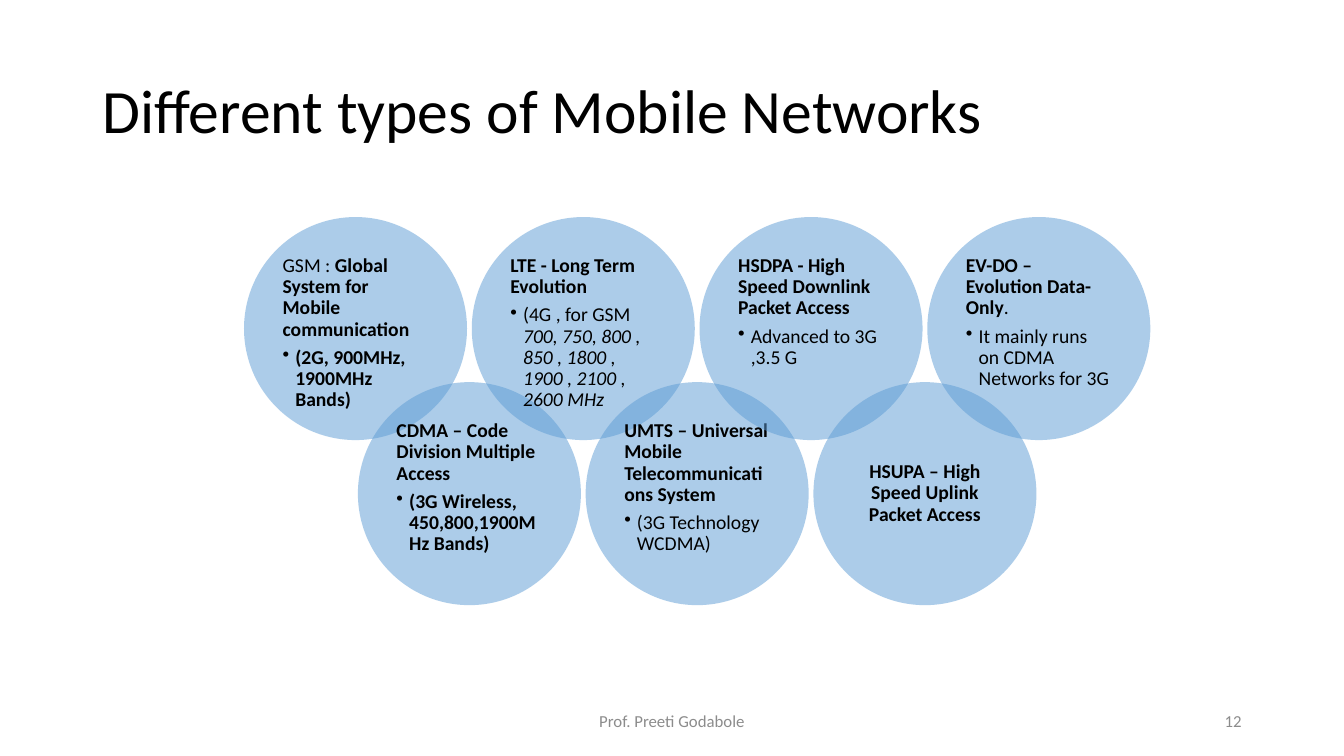
from lxml import etree
from pptx import Presentation
from pptx import util as u
from pptx.dml.color import RGBColor
from pptx.enum import shapes, text
from pptx.oxml.ns import qn

FONT = "Calibri"
COLORS = {"text": "000000", "footer": "8C8C8C", "circle": "5B9BD5"}

CIRCLE_SIZE = 5.62
FIRST_LEFT = 6.15
COLUMN_STEP = 2.87
ROW_TOPS = (5.47, 9.63)

PLAIN, BOLD, ITALIC = "plain", "bold", "italic"
NETWORKS = [
    ([("GSM : ", PLAIN), ("Global System for Mobile communication", BOLD)],
     [("(2G, 900MHz, 1900MHz Bands)", BOLD)]),
    ([("CDMA – Code Division Multiple Access", BOLD)],
     [("(3G Wireless, 450,800,1900MHz Bands)", BOLD)]),
    ([("LTE - Long Term Evolution", BOLD)],
     [("(4G , for GSM ", PLAIN),
      ("700, 750, 800 , 850 , 1800 , 1900 , 2100 , 2600 MHz", ITALIC)]),
    ([("UMTS – Universal Mobile Telecommunications System", BOLD)],
     [("(3G Technology WCDMA)", PLAIN)]),
    ([("HSDPA - High Speed Downlink Packet Access", BOLD)],
     [("Advanced to 3G ,3.5 G", PLAIN)]),
    ([("HSUPA – High Speed Uplink Packet Access", BOLD)], []),
    ([("EV-DO – Evolution Data-Only", BOLD), (".", PLAIN)],
     [("It mainly runs on CDMA Networks for 3G", PLAIN)]),
]


def color(name):
    return RGBColor.from_string(COLORS[name])


def add_span(para, words, size, color_name="text", style=PLAIN):
    span = para.add_run()
    span.text = words
    span.font.name = FONT
    span.font.size = u.Pt(size)
    span.font.bold = style == BOLD
    span.font.italic = style == ITALIC
    span.font.color.rgb = color(color_name)


def write_para(para, spans, align, space_after):
    para.alignment = align
    para.line_spacing = 0.9
    para.space_after = u.Pt(space_after)
    for words, style in spans:
        add_span(para, words, 14, style=style)


def add_bullet(para):
    props = para._p.get_or_add_pPr()
    props.set("marL", str(u.Cm(0.32)))
    props.set("indent", str(u.Cm(-0.32)))
    etree.SubElement(props, qn("a:buChar")).set("char", "•")


def set_title(page, words):
    title = page.shapes.title
    title.left, title.top = u.Cm(2.33), u.Cm(1.01)
    title.width, title.height = u.Cm(29.21), u.Cm(3.68)
    frame = title.text_frame
    frame.auto_size = text.MSO_AUTO_SIZE.NONE
    frame.vertical_anchor = text.MSO_ANCHOR.MIDDLE
    para = frame.paragraphs[0]
    para.alignment = text.PP_ALIGN.LEFT
    para.line_spacing = 0.9
    add_span(para, words, 44)


def add_circle(page, left, top, heading, detail):
    circle = page.shapes.add_shape(
        shapes.MSO_SHAPE.OVAL, u.Cm(left), u.Cm(top),
        u.Cm(CIRCLE_SIZE), u.Cm(CIRCLE_SIZE))
    circle.shadow.inherit = False
    circle.line.fill.background()
    circle.fill.solid()
    circle.fill.fore_color.rgb = color("circle")
    shade = circle.fill._xPr.find(qn("a:solidFill"))[0]
    etree.SubElement(shade, qn("a:alpha")).set("val", "50000")

    frame = circle.text_frame
    frame.word_wrap = True
    frame.margin_left = frame.margin_right = u.Cm(0.15)
    frame.margin_top = frame.margin_bottom = u.Cm(0.15)
    anchor, align = text.MSO_ANCHOR.MIDDLE, text.PP_ALIGN.CENTER
    if detail:
        anchor, align = text.MSO_ANCHOR.TOP, text.PP_ALIGN.LEFT
    frame.vertical_anchor = anchor
    write_para(frame.paragraphs[0], heading, align, 5)
    if detail:
        para = frame.add_paragraph()
        para.level = 1
        write_para(para, detail, align, 2)
        add_bullet(para)


def add_footer(page, words, left, width, align):
    box = page.shapes.add_textbox(
        u.Cm(left), u.Cm(17.65), u.Cm(width), u.Cm(1.01))
    frame = box.text_frame
    frame.word_wrap = True
    frame.vertical_anchor = text.MSO_ANCHOR.MIDDLE
    para = frame.paragraphs[0]
    para.alignment = align
    add_span(para, words, 12, "footer")


def main():
    deck = Presentation()
    deck.slide_width, deck.slide_height = u.Cm(33.87), u.Cm(19.05)
    page = deck.slides.add_slide(deck.slide_layouts.get_by_name("Title Only"))
    set_title(page, "Different types of Mobile Networks")
    for column, (heading, detail) in enumerate(NETWORKS):
        add_circle(page, FIRST_LEFT + column * COLUMN_STEP,
                   ROW_TOPS[column % 2], heading, detail)
    add_footer(page, "Prof. Preeti Godabole", 11.22, 11.43,
               text.PP_ALIGN.CENTER)
    add_footer(page, "12", 23.92, 7.62, text.PP_ALIGN.RIGHT)
    deck.save("out.pptx")


if __name__ == "__main__":
    main()
